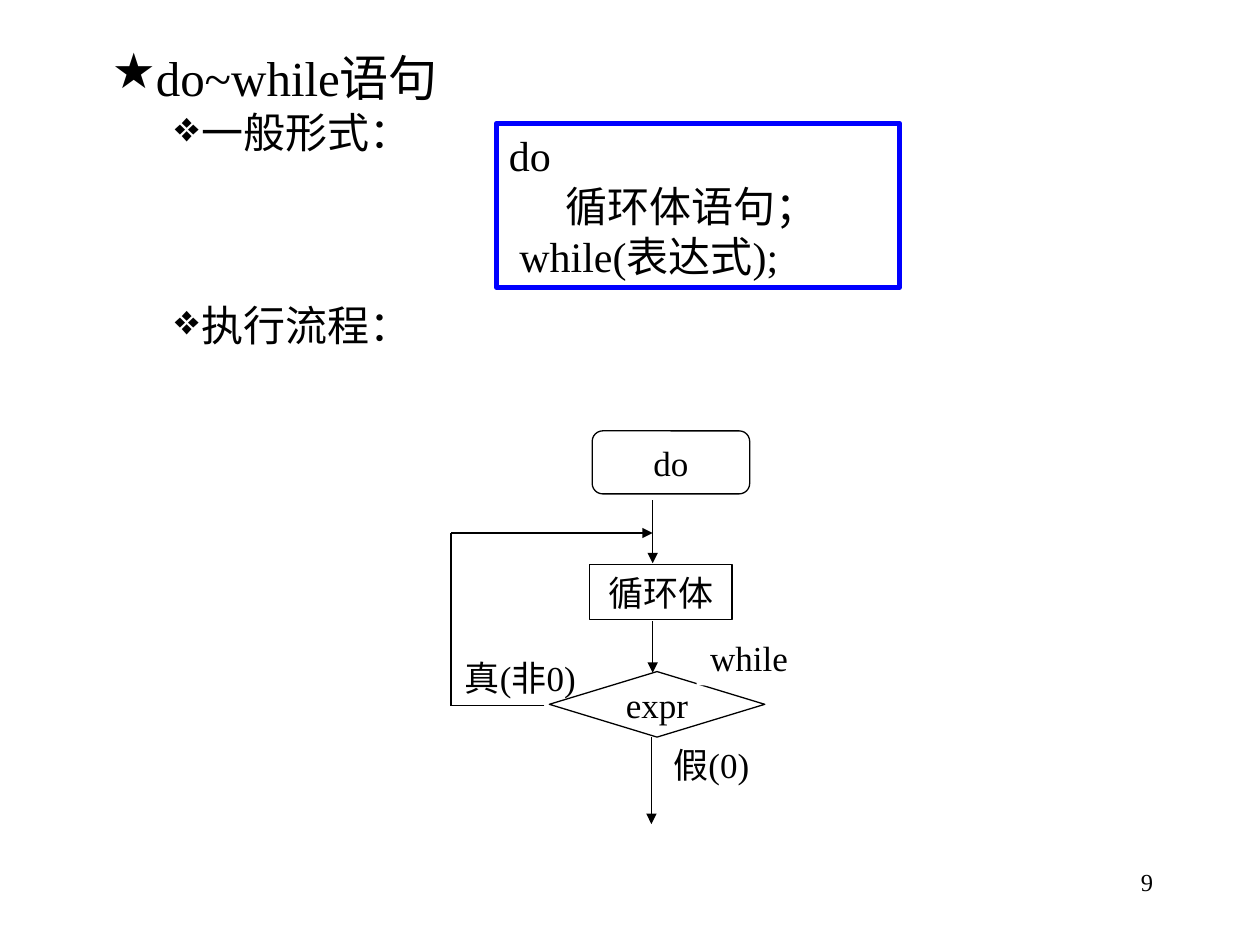
from lxml.etree import SubElement
from pptx import Presentation
from pptx.dml.color import RGBColor
from pptx.enum.shapes import MSO_CONNECTOR, MSO_SHAPE
from pptx.enum.text import MSO_ANCHOR, PP_ALIGN
from pptx.oxml.ns import qn
from pptx.util import Inches, Pt

BLACK = RGBColor(0, 0, 0)
WHITE = RGBColor(255, 255, 255)
BLUE = RGBColor(0, 0, 255)
LATIN = "Times New Roman"
CJK = "Noto Sans CJK SC"

prs = Presentation()
prs.slide_width, prs.slide_height = Inches(10), Inches(7.5)
s = prs.slides.add_slide(prs.slide_layouts[6])


def add_text(text, left, top, width, height, shape=None, size=20, fill=None,
             line=None, weight=0.75, align=PP_ALIGN.CENTER,
             anchor=MSO_ANCHOR.MIDDLE, wrap=True, bullets=()):
    """Add a text box, or a preset shape, with one paragraph per line.

    Each entry of bullets is (character, left margin, text size).
    """
    box = [Inches(v) for v in (left, top, width, height)]
    if shape is None:
        sp = s.shapes.add_textbox(*box)
    else:
        sp = s.shapes.add_shape(shape, *box)
        sp.shadow.inherit = False
        if fill is None:
            sp.fill.background()
        else:
            sp.fill.solid()
            sp.fill.fore_color.rgb = fill
        if line is None:
            sp.line.fill.background()
        else:
            sp.line.color.rgb = line
            sp.line.width = Pt(weight)
    tf = sp.text_frame
    tf.word_wrap = wrap
    tf.vertical_anchor = anchor
    for i, words in enumerate(text.split("\n")):
        p = tf.paragraphs[0] if i == 0 else tf.add_paragraph()
        p.alignment = align
        r = p.add_run()
        r.text = words
        r.font.size = Pt(size)
        if bullets:
            char, margin, bullet_size = bullets[i]
            r.font.size = Pt(bullet_size)
            pPr = p._p.get_or_add_pPr()
            pPr.set("marL", str(Inches(margin)))
            pPr.set("indent", str(Inches(-0.21)))
            SubElement(pPr, qn("a:buChar"), char=char)
        r.font.name = LATIN
        r.font.color.rgb = BLACK
        SubElement(r._r.get_or_add_rPr(), qn("a:ea"), typeface=CJK)


def add_line(x1, y1, x2, y2, arrow=True):
    """Add a thin straight line, with an arrowhead at its end if wanted."""
    c = s.shapes.add_connector(MSO_CONNECTOR.STRAIGHT, Inches(x1), Inches(y1),
                               Inches(x2), Inches(y2))
    c.line.color.rgb = BLACK
    c.line.width = Pt(0.75)
    if arrow:
        SubElement(c.line._get_or_add_ln(), qn("a:tailEnd"), type="triangle")
    SubElement(c._element.spPr, qn("a:effectLst"))


# Headings
STAR = ("★", 0.5, 28)
DIAMOND = ("❖", 1, 24)
add_text("do~while语句\n一般形式：", 0.5, 0.33, 3.42, 1, align=PP_ALIGN.LEFT,
         anchor=MSO_ANCHOR.TOP, bullets=[STAR, DIAMOND])
add_text("执行流程：", 0.5, 2.33, 3.17, 0.58, align=PP_ALIGN.LEFT,
         anchor=MSO_ANCHOR.TOP, bullets=[DIAMOND])

# Syntax of the statement
add_text("do\n      循环体语句；\n while(表达式);", 3.94, 0.98, 3.2, 1.3,
         shape=MSO_SHAPE.RECTANGLE, size=24, line=BLUE, weight=3,
         align=PP_ALIGN.LEFT)

# Flowchart: steps
add_text("do", 4.7, 3.42, 1.25, 0.5, line=BLACK, wrap=False,
         shape=MSO_SHAPE.FLOWCHART_ALTERNATE_PROCESS)
add_text("循环体", 4.68, 4.48, 1.13, 0.44, shape=MSO_SHAPE.RECTANGLE,
         fill=WHITE, line=BLACK)
add_text("expr", 4.36, 5.33, 1.71, 0.52, shape=MSO_SHAPE.FLOWCHART_DECISION,
         fill=WHITE, line=BLACK, wrap=False)

# Flowchart: downward flow
FLOW_X = 5.18
add_line(FLOW_X, 3.97, FLOW_X, 4.47)
add_line(FLOW_X, 4.93, FLOW_X, 5.34)
add_line(5.17, 5.85, 5.17, 6.54)

# Flowchart: loop back to the body
LOOP_X, TEST_Y, BACK_Y = 3.58, 5.6, 4.23
add_line(4.32, TEST_Y, LOOP_X, TEST_Y, arrow=False)
add_line(LOOP_X, TEST_Y, LOOP_X, BACK_Y, arrow=False)
add_line(LOOP_X, BACK_Y, FLOW_X, BACK_Y)

# Flowchart: labels
add_text("假(0)", 5.17, 5.85, 0.95, 0.44)
add_text("真(非0)", 3.49, 5.16, 1.28, 0.44, wrap=False)
add_text("while", 5.53, 5, 0.83, 0.44, shape=MSO_SHAPE.RECTANGLE, fill=WHITE)

# Page number
add_text("9", 7.17, 6.83, 2.08, 0.5, size=14, align=PP_ALIGN.RIGHT,
         anchor=MSO_ANCHOR.TOP)

prs.save("out.pptx")
